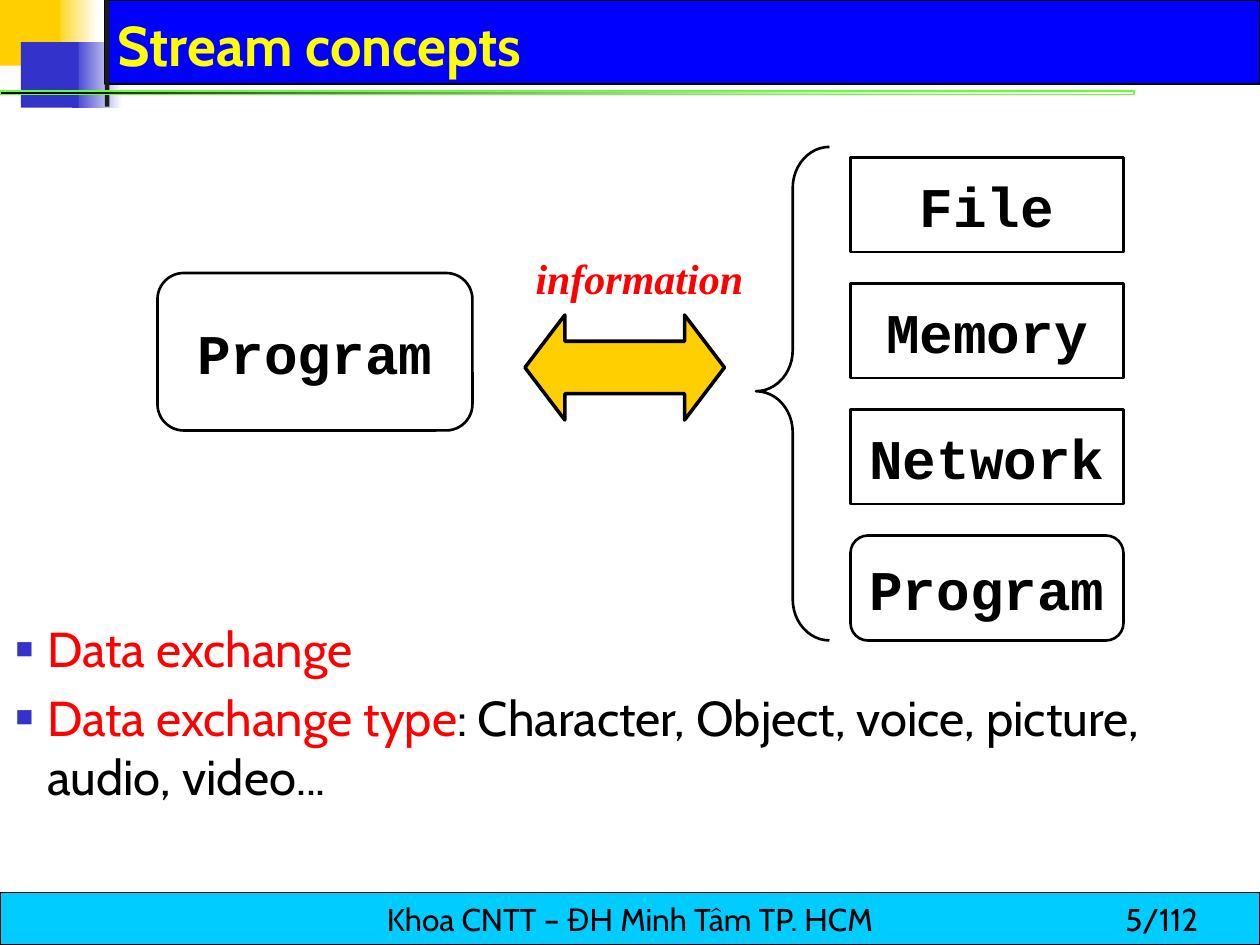
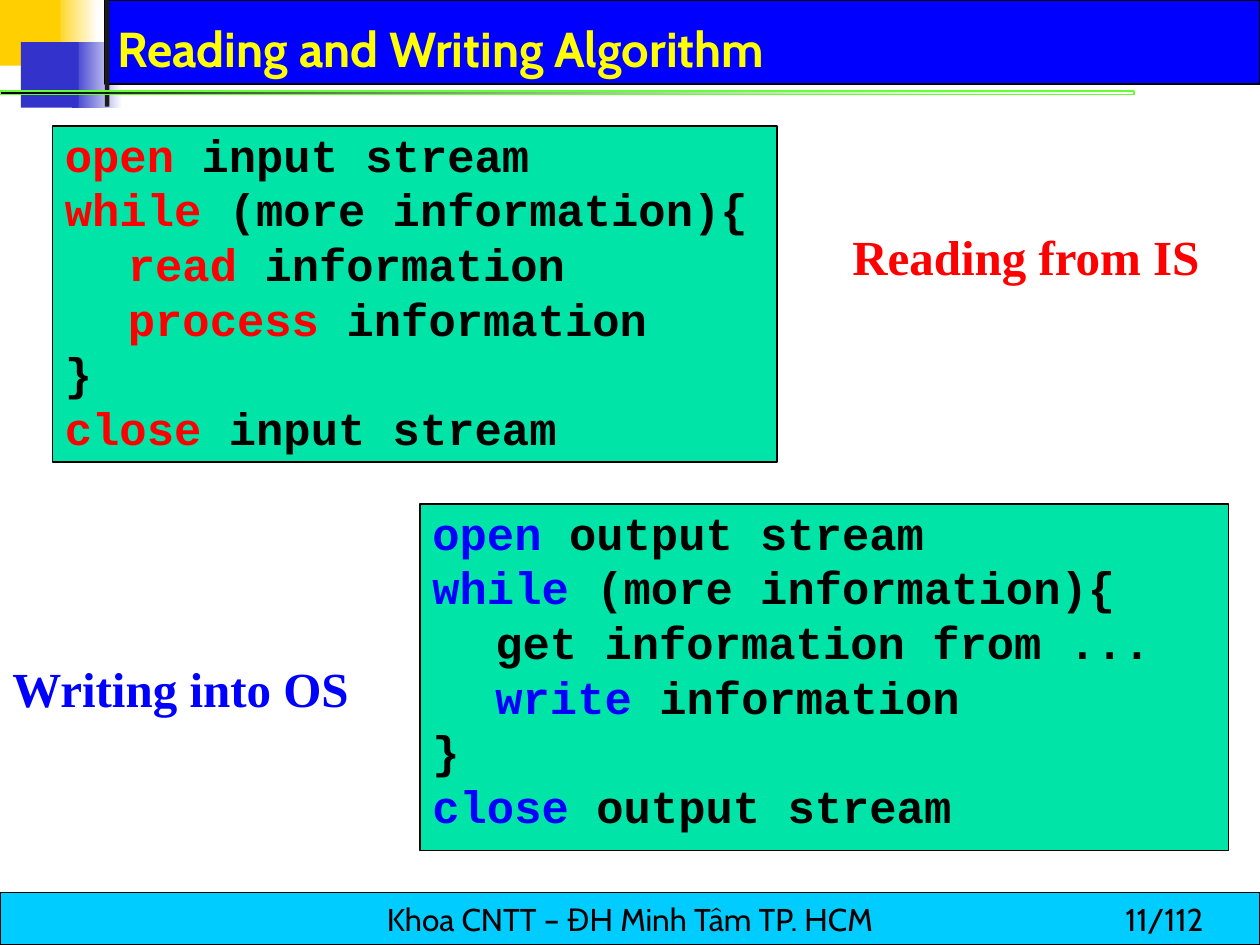
from lxml.etree import SubElement
from pptx import Presentation
from pptx.dml.color import RGBColor
from pptx.enum.shapes import MSO_SHAPE as Shape
from pptx.enum.text import MSO_ANCHOR as Anchor, MSO_AUTO_SIZE as AutoSize, PP_ALIGN as Align
from pptx.oxml.ns import qn
from pptx.util import Pt

BLACK, WHITE, RED, BLUE = "000000", "FFFFFF", "FF0000", "0000FF"
GOLD, INDIGO, YELLOW, LIME = "FFCF01", "3333CC", "FFFF00", "66FF33"
CYAN, MINT, CHARCOAL = "00CCFF", "00E4A8", "1C1C1C"
SANS, SERIF, MONO = "Cabin", "Times New Roman", "Courier New"
FOOTER = "Khoa CNTT – ĐH Minh Tâm TP. HCM"
PAGE_COUNT = 112


def color(value):
    return RGBColor.from_string(value)


def set_font(font, name, size, ink=BLACK, bold=False, italic=False):
    font.name, font.size = name, Pt(size)
    font.bold, font.italic = bold, italic
    font.color.rgb = color(ink)


def add_box(page, area, fill=None, line=None, width=0.75, kind=Shape.RECTANGLE, adjust=()):
    box = page.shapes.add_shape(kind, *map(Pt, area))
    box.shadow.inherit = False
    for index, value in enumerate(adjust):
        box.adjustments[index] = value
    if fill:
        box.fill.solid()
        box.fill.fore_color.rgb = color(fill)
    else:
        box.fill.background()
    if line:
        box.line.color.rgb = color(line)
        box.line.width = Pt(width)
    else:
        box.line.fill.background()
    return box


def add_fade(page, area, start, end, line=None, clear=False):
    box = add_box(page, area, start, line, 0)
    box.fill.gradient()
    box.fill.gradient_angle = 0
    stops = box.fill.gradient_stops
    for stop, value in zip(stops, (start, end)):
        stop.color.rgb = color(value)
    if clear:
        last = list(box.element.iter(qn("a:gs")))[-1]
        SubElement(last.find(qn("a:srgbClr")), qn("a:alpha"), val="0")


def add_label(box, text, font, size, bold=False):
    frame = box.text_frame
    frame.word_wrap = False
    frame.vertical_anchor = Anchor.MIDDLE
    para = frame.paragraphs[0]
    para.text = text
    para.alignment = Align.CENTER
    set_font(para.font, font, size, bold=bold)


def add_text(page, area, lines, font, size, bold=False, italic=False, inset=True):
    box = page.shapes.add_textbox(*map(Pt, area))
    frame = box.text_frame
    frame.word_wrap = True
    if not inset:
        frame.margin_left = frame.margin_right = frame.margin_top = frame.margin_bottom = 0
    for index, spans in enumerate(lines):
        para = frame.add_paragraph() if index else frame.paragraphs[0]
        set_font(para.font, font, size, spans[0][1], bold, italic)
        for text, ink in spans:
            span = para.add_run()
            span.text = text
            set_font(span.font, font, size, ink, bold, italic)
    return frame


def add_bullets(page, area, lines):
    frame = add_text(page, area, lines, SANS, 28, inset=False)
    for para in frame.paragraphs:
        para.space_after = Pt(5.6)
        props = para._p.get_or_add_pPr()
        props.set("marL", str(Pt(27)))
        props.set("indent", str(Pt(-18)))
        tint = SubElement(props, qn("a:buClr"))
        SubElement(tint, qn("a:srgbClr"), val=INDIGO)
        SubElement(props, qn("a:buSzPct"), val="60000")
        SubElement(props, qn("a:buFont"), typeface="Arial")
        SubElement(props, qn("a:buChar"), char="■")


def add_code(page, panel, area, lines, ink):
    add_box(page, panel, MINT, BLACK)
    spans = [[(keyword, ink), (rest, BLACK)] if keyword else [(rest, BLACK)]
             for keyword, rest in lines]
    add_text(page, area, spans, MONO, 26, bold=True)


def add_page(deck, title, size, number):
    page = deck.slides.add_slide(deck.slide_layouts[5])
    add_fade(page, (30, 0, 26, 37.5), GOLD, WHITE)
    add_fade(page, (41, 24, 29, 37.5), INDIGO, WHITE)
    add_box(page, (60, 0, 660, 48), BLUE, BLACK)
    add_box(page, (0, 0, 34.5, 37.5), GOLD)
    add_box(page, (12, 24, 33, 37.5), INDIGO)
    add_box(page, (60, 0, 2.5, 61), CHARCOAL)
    add_fade(page, (0, 52, 648, 2), BLACK, LIME, LIME, clear=True)
    add_label(add_box(page, (0, 510, 720, 30), CYAN, BLACK), FOOTER, SANS, 18)
    add_text(page, (636, 511, 84, 29), [[(f"{number}/{PAGE_COUNT}", BLACK)]], SANS, 18)

    box = page.shapes.title
    box.left, box.top, box.width, box.height = map(Pt, (60, 6, 644, 42))
    box.element.getparent().append(box.element)
    frame = box.text_frame
    frame.auto_size = AutoSize.NONE
    frame.vertical_anchor = Anchor.BOTTOM
    para = frame.paragraphs[0]
    para.text = title
    para.alignment = Align.LEFT
    set_font(para.font, SANS, size, YELLOW, bold=True)
    return page


def add_node(page, text, area, rounded=False):
    kind = Shape.ROUNDED_RECTANGLE if rounded else Shape.RECTANGLE
    box = add_box(page, area, None, BLACK, 1.5, kind, (0.167,) if rounded else ())
    add_label(box, text, MONO, 32, bold=True)


def build_concepts(deck):
    page = add_page(deck, "Stream concepts", 32, 5)
    add_node(page, "Program", (90, 156, 180, 90), rounded=True)
    for row, name in enumerate(("File", "Memory", "Network")):
        add_node(page, name, (486, 90 + 72 * row, 156, 54))
    add_node(page, "Program", (486, 306, 156, 60), rounded=True)
    add_box(page, (432, 84, 42, 282), None, BLACK, 1.5, Shape.LEFT_BRACE, (0.56, 0.495))
    add_box(page, (300, 180, 114, 60), GOLD, BLACK, 2, Shape.LEFT_RIGHT_ARROW, (0.5, 0.38))
    add_text(page, (306, 144, 126, 29), [[("information", RED)]], SERIF, 24,
             bold=True, italic=True, inset=False)
    add_bullets(page, (0, 353.5, 720, 135), [
        [("Data exchange", RED)],
        [("Data exchange type", RED),
         (": Character, Object, voice, picture, audio, video...", BLACK)],
    ])


def build_algorithm(deck):
    page = add_page(deck, "Reading and Writing Algorithm", 28, 11)
    loop = ("while", " (more information){")
    add_code(page, (30, 72, 414, 192), (30, 69, 420, 194), [
        ("open", " input stream"),
        loop,
        ("\tread", " information"),
        ("\tprocess", " information"),
        ("", "}"),
        ("close", " input stream"),
    ], RED)
    add_code(page, (240, 288, 462, 198), (240, 285, 462, 194), [
        ("open", " output stream"),
        loop,
        ("", "\tget information from ..."),
        ("\twrite", " information"),
        ("", "}"),
        ("close", " output stream"),
    ], BLUE)
    add_text(page, (480, 126, 240, 41), [[("Reading from IS", RED)]], SERIF, 28, bold=True)
    add_text(page, (0, 373, 240, 41), [[("Writing into OS", BLUE)]], SERIF, 28, bold=True)


def main():
    deck = Presentation()
    deck.slide_width, deck.slide_height = Pt(720), Pt(540)
    build_concepts(deck)
    build_algorithm(deck)
    deck.save("out.pptx")


if __name__ == "__main__":
    main()
